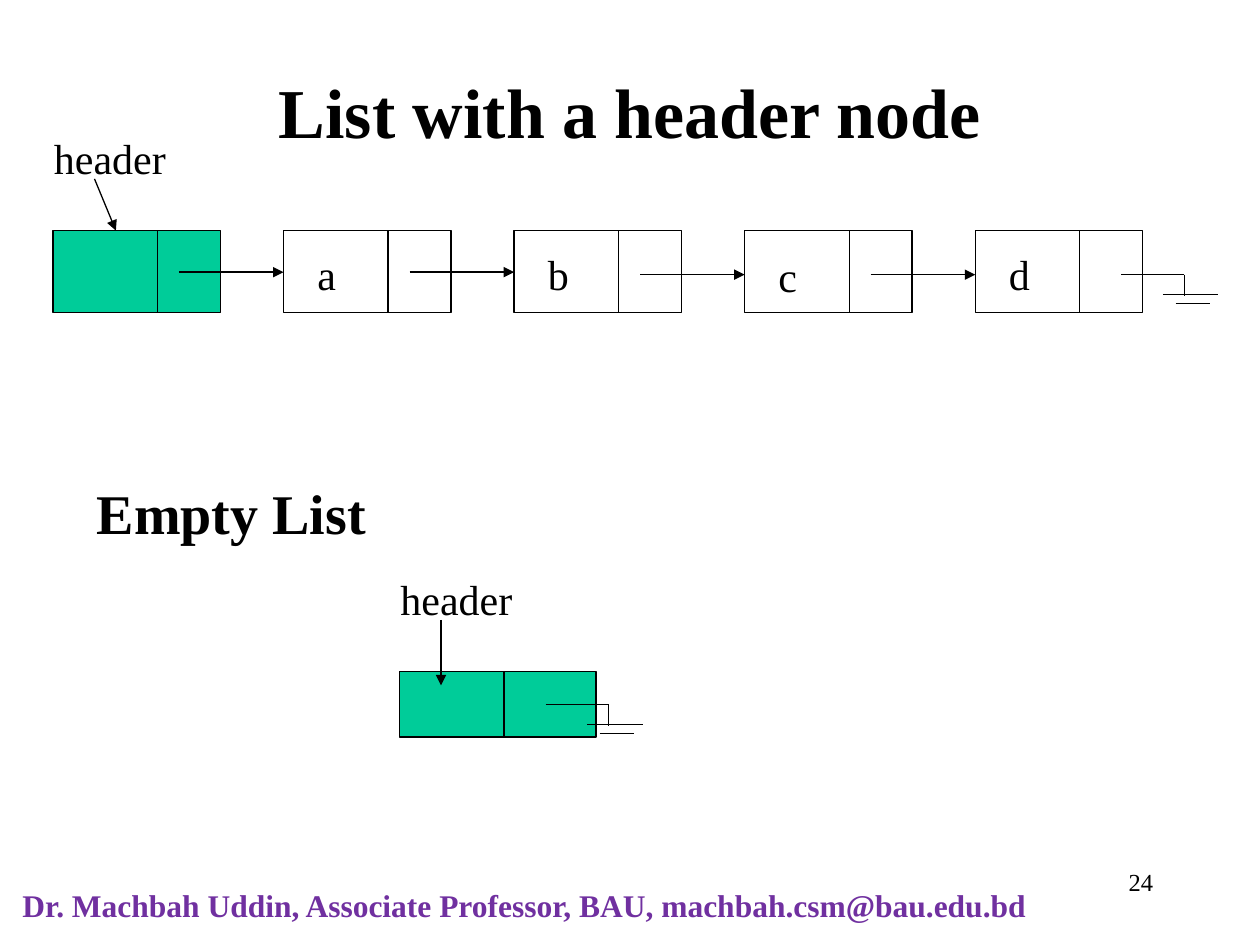
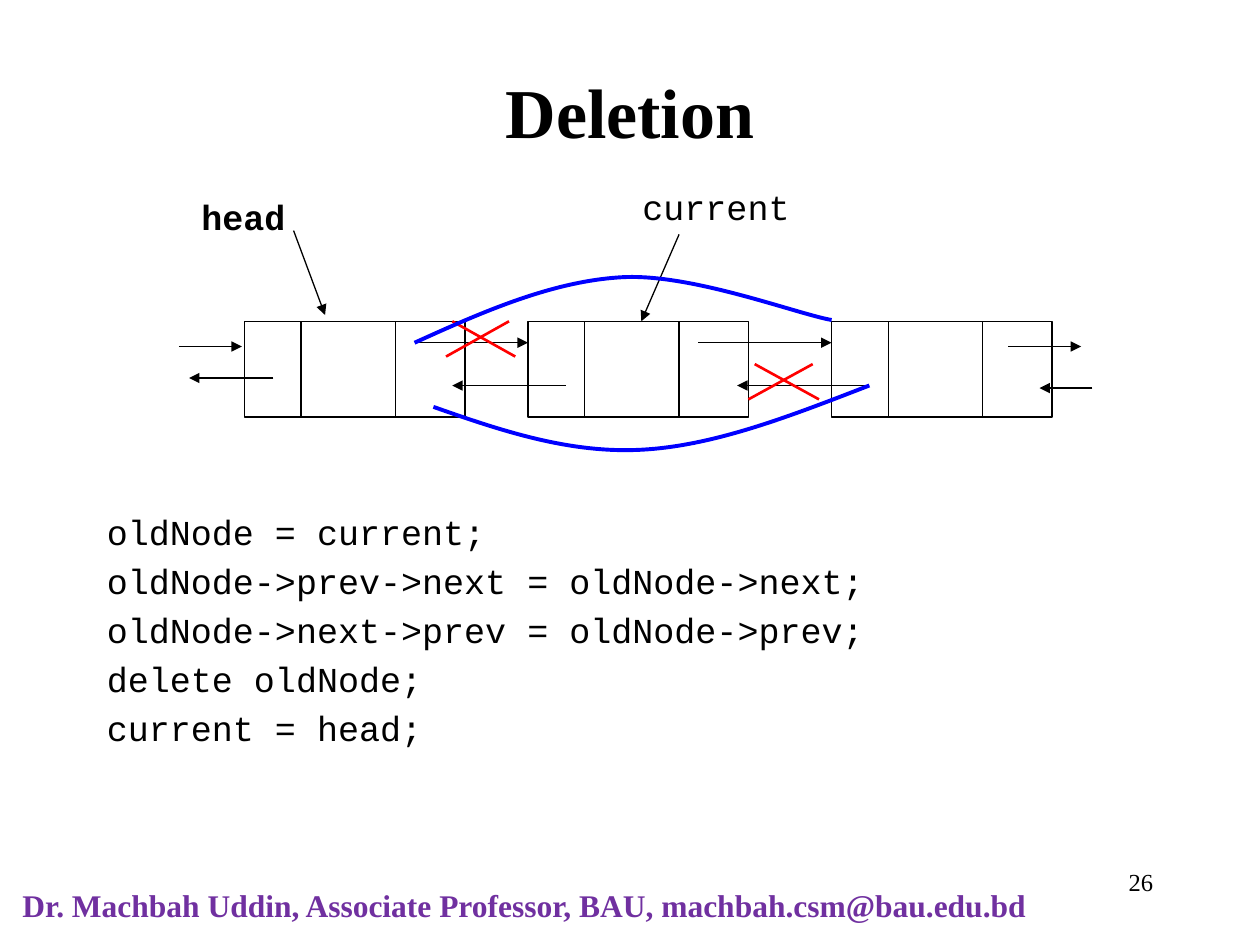
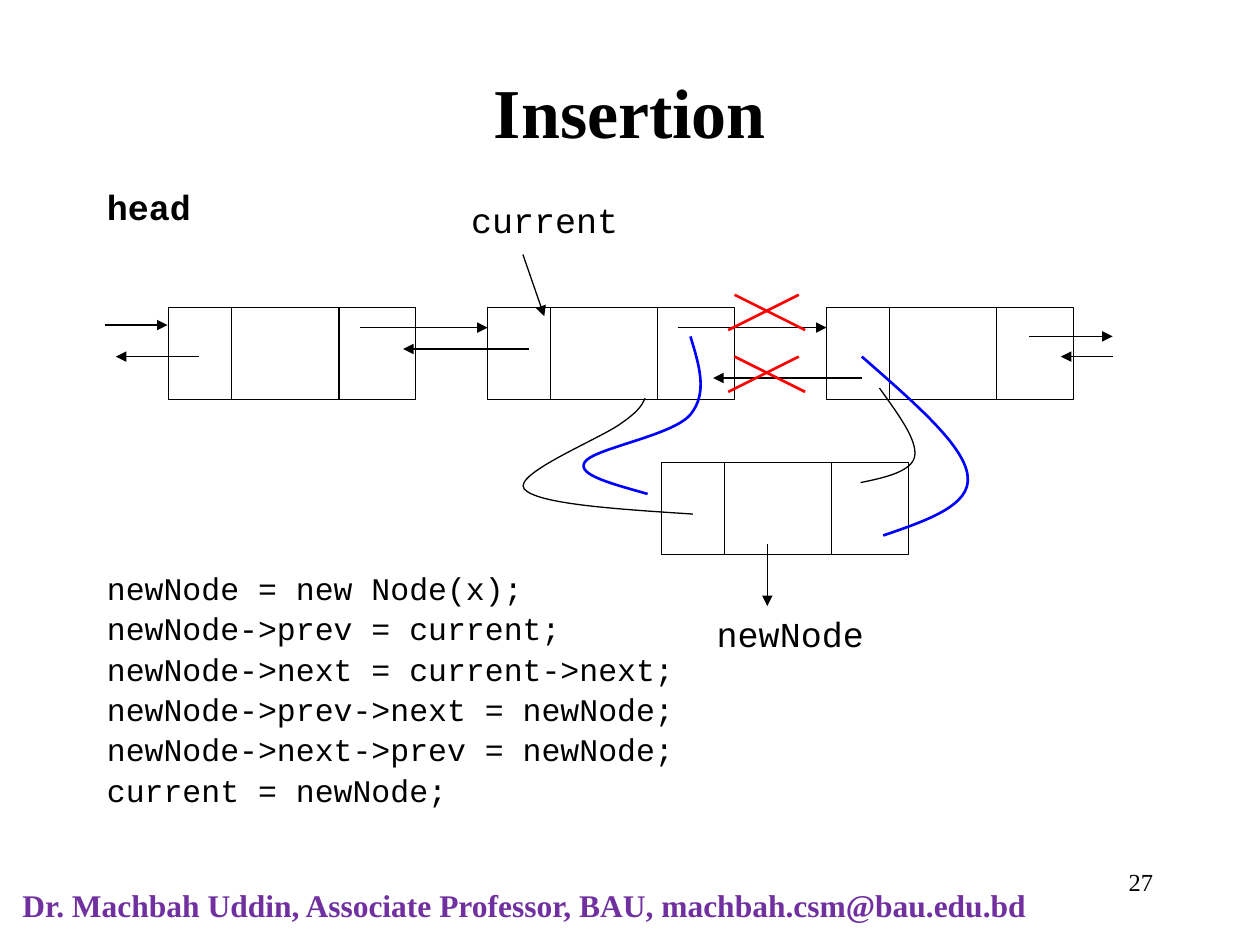
from dataclasses import dataclass
from typing import NamedTuple

from lxml import etree
from pptx import Presentation
from pptx.dml.color import RGBColor
from pptx.enum.shapes import MSO_CONNECTOR, MSO_SHAPE
from pptx.enum.text import MSO_ANCHOR, PP_ALIGN
from pptx.oxml.ns import qn
from pptx.slide import Slide
from pptx.util import Pt

PX = 9144  # EMU per px: 100 px to the inch
SERIF = "Times New Roman"
MONO = "Courier New"
BLACK = RGBColor(0x00, 0x00, 0x00)
WHITE = RGBColor(0xFF, 0xFF, 0xFF)
GREEN = RGBColor(0x00, 0xCC, 0x99)
BLUE = RGBColor(0x00, 0x00, 0xFF)
RED = RGBColor(0xFF, 0x00, 0x00)
PURPLE = RGBColor(0x70, 0x30, 0xA0)
STRAIGHT = MSO_CONNECTOR.STRAIGHT
RECTANGLE = MSO_SHAPE.RECTANGLE
LEFT, CENTER, RIGHT = PP_ALIGN.LEFT, PP_ALIGN.CENTER, PP_ALIGN.RIGHT
TOP, MIDDLE = MSO_ANCHOR.TOP, MSO_ANCHOR.MIDDLE
THIN = 0.75
FOOTER = "Dr. Machbah Uddin, Associate Professor, BAU, machbah.csm@bau.edu.bd"


@dataclass(frozen=True)
class TextStyle:
    size: int
    font: str = SERIF
    bold: bool = False
    color: RGBColor = BLACK
    align: PP_ALIGN = LEFT
    anchor: MSO_ANCHOR = TOP
    space_before: float = 0
    line_spacing: float = 1.0


class Box(NamedTuple):
    x: int
    y: int
    w: int
    h: int


class Segment(NamedTuple):
    x1: int
    y1: int
    x2: int
    y2: int


class Curve(NamedTuple):
    """A start point followed by three points for each Bezier piece."""
    points: list[tuple[int, int]]
    color: RGBColor = BLACK
    width: float = THIN


TITLE = TextStyle(40, bold=True, align=CENTER, anchor=MIDDLE)
SUBTITLE = TextStyle(32, bold=True)
LABEL = TextStyle(24)
POINTER = TextStyle(20, MONO)
HEAD_POINTER = TextStyle(20, MONO, bold=True)
NUMBER = TextStyle(14, align=RIGHT)
FOOTER_STYLE = TextStyle(18, bold=True, color=PURPLE)


def add_text(s: Slide, text: str, box: Box, style: TextStyle) -> None:
    tf = s.shapes.add_textbox(*(v * PX for v in box)).text_frame
    tf.word_wrap = True
    tf.vertical_anchor = style.anchor
    tf.text = text
    for i, p in enumerate(tf.paragraphs):
        p.alignment = style.align
        p.line_spacing = style.line_spacing
        if i:
            p.space_before = Pt(style.space_before)
        for r in p.runs:
            r.font.size = Pt(style.size)
            r.font.name = style.font
            r.font.bold = style.bold
            r.font.color.rgb = style.color


def add_line(s: Slide, seg: Segment, color: RGBColor = BLACK,
             width: float = THIN, arrow: bool = False) -> None:
    sp = s.shapes.add_connector(STRAIGHT, *(v * PX for v in seg))
    sp.line.color.rgb = color
    sp.line.width = Pt(width)
    if arrow:
        ln = sp.line._get_or_add_ln()
        etree.SubElement(ln, qn("a:tailEnd"), type="triangle")
    etree.SubElement(sp.element.spPr, qn("a:effectLst"))


def add_arrows(s: Slide, arrows: list[Segment]) -> None:
    for seg in arrows:
        add_line(s, seg, arrow=True)


def add_curve(s: Slide, curve: Curve) -> None:
    """Draw a freeform whose line segments are regrouped into Bezier pieces."""
    start, *rest = curve.points
    builder = s.shapes.build_freeform(*start, scale=PX)
    builder.add_line_segments(rest, close=False)
    sp = builder.convert_to_shape()
    outline = next(sp.element.iter(qn("a:path")))
    steps = outline.findall(qn("a:lnTo"))
    for i in range(0, len(steps), 3):
        bezier = etree.SubElement(outline, qn("a:cubicBezTo"))
        for step in steps[i:i + 3]:
            bezier.append(step[0])
            outline.remove(step)
    sp.fill.background()
    sp.line.color.rgb = curve.color
    sp.line.width = Pt(curve.width)
    sp.shadow.inherit = False


def add_node(s: Slide, box: Box, dividers: tuple[int, ...],
             fill: RGBColor = WHITE) -> None:
    sp = s.shapes.add_shape(RECTANGLE, *(v * PX for v in box))
    sp.shadow.inherit = False
    sp.fill.solid()
    sp.fill.fore_color.rgb = fill
    sp.line.color.rgb = BLACK
    sp.line.width = Pt(THIN)
    for dx in dividers:
        x = box.x + dx
        add_line(s, Segment(x, box.y, x, box.y + box.h))


def add_null_link(s: Slide, x: int, y: int) -> None:
    """Draw a link that ends in a ground symbol."""
    for x1, y1, x2, y2 in ((0, 0, 50, 0), (50, 0, 50, 17),
                           (33, 16, 77, 16), (43, 23, 70, 23)):
        add_line(s, Segment(x + x1, y + y1, x + x2, y + y2))


def add_cross(s: Slide, x: int, y: int, w: int) -> None:
    """Strike out a removed link."""
    for x1, x2 in ((w - 5, 0), (5, w)):
        add_line(s, Segment(x + x1, y, x + x2, y + 28), RED, 1.5)


def new_slide(prs: Presentation, title: str, number: int) -> Slide:
    s = prs.slides.add_slide(prs.slide_layouts[6])
    add_text(s, FOOTER, Box(8, 698, 917, 40), FOOTER_STYLE)
    add_text(s, str(number), Box(717, 683, 208, 50), NUMBER)
    add_text(s, title, Box(75, 50, 850, 75), TITLE)
    return s


def header_slide(prs: Presentation) -> None:
    s = new_slide(prs, "List with a header node", 24)
    first_x, pitch, divider = 42, 183, 83
    node_xs = [first_x + i * pitch for i in range(5)]
    for i, x in enumerate(node_xs):
        add_node(s, Box(x, 183, 133, 65), (divider,), WHITE if i else GREEN)
    for x, letter, y in zip(node_xs[1:], "abcd", (192, 192, 194, 192)):
        add_text(s, letter, Box(x + 17, y, 67, 49), LABEL)
    add_arrows(s, [Segment(x + 100, y, x + pitch, y)
                   for x, y in zip(node_xs, (216, 216, 218, 218))])
    add_null_link(s, 890, 218)
    add_text(s, "header", Box(33, 100, 133, 50), LABEL)

    add_text(s, "Empty List", Box(67, 375, 350, 75), SUBTITLE)
    add_node(s, Box(317, 533, 156, 52), (divider,), GREEN)
    add_text(s, "header", Box(308, 450, 156, 52), LABEL)
    add_null_link(s, 433, 559)
    add_arrows(s, [Segment(75, 142, 92, 183), Segment(350, 492, 350, 544)])


def deletion_slide(prs: Presentation) -> None:
    s = new_slide(prs, "Deletion", 26)
    code = ("oldNode = current;\n"
            "oldNode->prev->next = oldNode->next;\n"
            "oldNode->next->prev = oldNode->prev;\n"
            "delete oldNode;\n"
            "current = head;")
    add_text(s, code, Box(75, 400, 850, 267),
             TextStyle(20, MONO, space_before=4))
    add_text(s, "current", Box(500, 142, 142, 51), POINTER)
    add_text(s, "head", Box(150, 150, 155, 51), HEAD_POINTER)
    for x in (194, 419, 660):
        add_node(s, Box(x, 255, 175, 76), (45, 120))
    add_arrows(s, [
        Segment(539, 186, 509, 255), Segment(233, 183, 258, 250),
        Segment(329, 272, 419, 272), Segment(449, 306, 359, 306),
        Segment(554, 272, 660, 272), Segment(690, 306, 585, 306),
        Segment(142, 275, 192, 275), Segment(217, 300, 150, 300),
        Segment(867, 308, 825, 308), Segment(800, 275, 858, 275),
    ])
    add_cross(s, 354, 255, 55)
    add_cross(s, 594, 289, 56)
    for points in (
        [(329, 272), (384, 247), (439, 223), (494, 220),
         (549, 217), (632, 249), (660, 254)],
        [(690, 306), (628, 330), (567, 354), (509, 357),
         (452, 360), (398, 342), (344, 323)],
    ):
        add_curve(s, Curve(points, BLUE, 2.25))


def insertion_slide(prs: Presentation) -> None:
    s = new_slide(prs, "Insertion", 27)
    code = ("newNode = new Node(x);\n"
            "newNode->prev = current;\n"
            "newNode->next = current->next;\n"
            "newNode->prev->next = newNode;\n"
            "newNode->next->prev = newNode;\n"
            "current = newNode;")
    add_text(s, code, Box(75, 450, 850, 217),
             TextStyle(18, MONO, space_before=3.6, line_spacing=0.9))
    add_text(s, "head", Box(75, 142, 118, 49), HEAD_POINTER)
    add_text(s, "current", Box(364, 153, 202, 49), POINTER)
    add_text(s, "newNode", Box(559, 481, 250, 38), POINTER)
    for x, y in ((134, 244), (387, 244), (656, 244), (525, 367)):
        add_node(s, Box(x, y, 196, 73), (50, 135))
    add_arrows(s, [
        Segment(415, 202, 432, 251), Segment(609, 432, 609, 481),
        Segment(286, 260, 387, 260), Segment(420, 277, 320, 277),
        Segment(538, 260, 656, 260), Segment(684, 300, 566, 300),
        Segment(83, 258, 133, 258), Segment(158, 283, 92, 283),
        Segment(883, 283, 842, 283), Segment(817, 267, 883, 267),
    ])
    for y in (234, 283):
        add_cross(s, 578, y, 61)
    for curve in (
        Curve([(548, 267), (555, 290), (562, 312), (548, 329), (534, 346),
               (470, 356), (464, 367), (458, 377), (486, 384), (514, 392)],
              BLUE, 1.5),
        Curve([(550, 408), (488, 404), (426, 400), (416, 388), (407, 376),
               (477, 348), (493, 336), (509, 325), (510, 320), (512, 316)]),
        Curve([(683, 383), (703, 379), (724, 374), (726, 362),
               (728, 349), (713, 329), (698, 308)]),
        Curve([(684, 283), (725, 319), (766, 354), (768, 378),
               (771, 401), (736, 413), (701, 425)], BLUE, 1.5),
    ):
        add_curve(s, curve)


def main() -> None:
    prs = Presentation()
    prs.slide_width = 1000 * PX
    prs.slide_height = 750 * PX
    header_slide(prs)
    deletion_slide(prs)
    insertion_slide(prs)
    prs.save("out.pptx")


if __name__ == "__main__":
    main()
